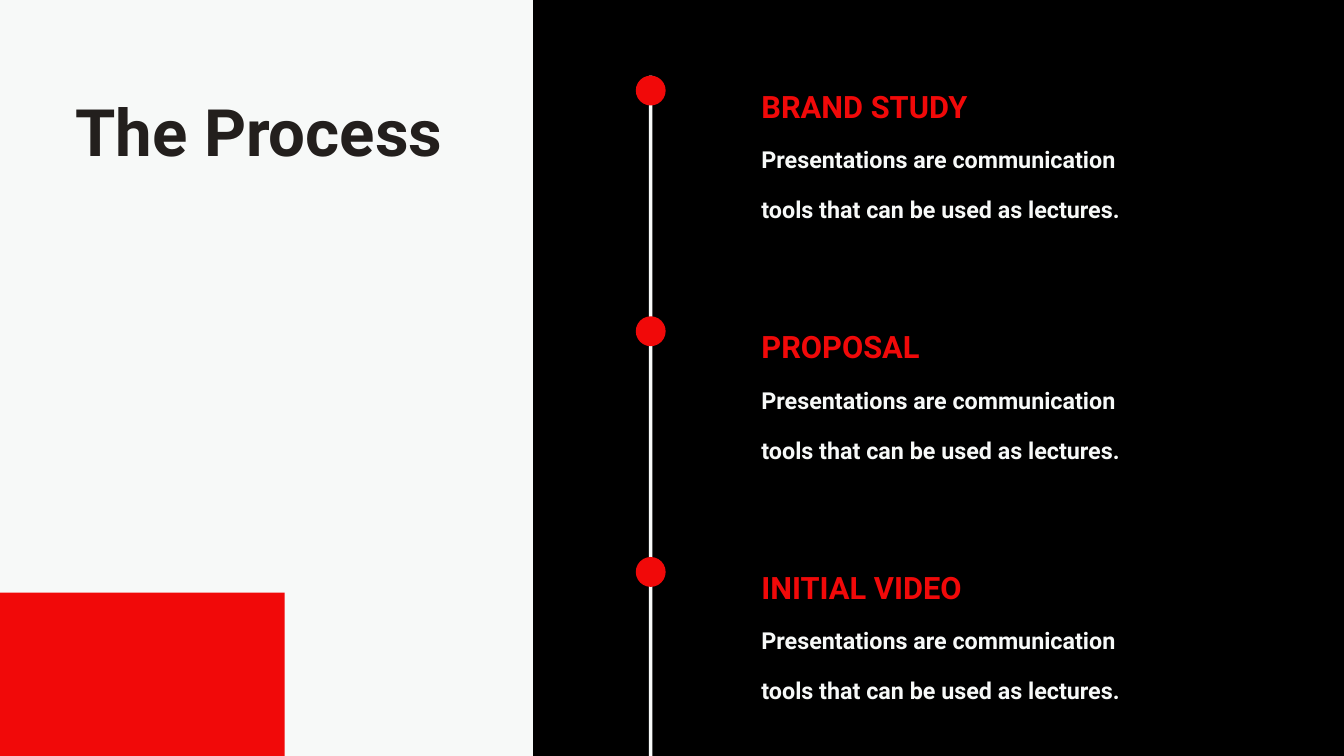
from dataclasses import dataclass

from pptx import Presentation
from pptx import util as u
from pptx.dml.color import RGBColor
from pptx.enum import shapes, text


@dataclass(frozen=True)
class Theme:
    black: str = "000000"
    paper: str = "F7F9F8"
    ink: str = "231F1D"
    red: str = "F10909"
    font: str = "Roboto"
    title_size: int = 70
    heading_size: int = 33
    body_size: int = 25


THEME = Theme()
DESCRIPTION = ["Presentations are communication",
               "tools that can be used as lectures."]
STEPS = [("BRAND STUDY", DESCRIPTION),
         ("PROPOSAL", DESCRIPTION),
         ("INITIAL VIDEO", DESCRIPTION)]
STEP_PITCH = 257.9
FIRST_HEADING_TOP = 77.8
FIRST_DOT_TOP = 81
BODY_OFFSET = 54
STEP_LEFT, STEP_WIDTH = 815.8, 543
DOT_LEFT, DOT_SIZE = 681.2, 32


def add_solid(slide, kind, left, top, width, height, color):
    solid = slide.shapes.add_shape(kind, u.Pt(left), u.Pt(top), u.Pt(width), u.Pt(height))
    solid.shadow.inherit = False
    solid.fill.solid()
    solid.fill.fore_color.rgb = RGBColor.from_string(color)
    solid.line.fill.background()


def add_copy(parent, lines, left, top, width, height, size, color, spacing):
    """Add a bold text box without margins, one paragraph per line."""
    box = parent.shapes.add_textbox(u.Pt(left), u.Pt(top), u.Pt(width), u.Pt(height))
    frame = box.text_frame
    frame_format = {"word_wrap": True, "auto_size": text.MSO_AUTO_SIZE.SHAPE_TO_FIT_TEXT,
                    "margin_left": 0, "margin_top": 0, "margin_right": 0, "margin_bottom": 0}
    for name, value in frame_format.items():
        setattr(frame, name, value)
    frame.text = "\n".join(lines)
    font_format = {"name": THEME.font, "size": u.Pt(size), "bold": True}
    for paragraph in frame.paragraphs:
        paragraph.line_spacing = spacing
        run_font = paragraph.runs[0].font
        for name, value in font_format.items():
            setattr(run_font, name, value)
        run_font.color.rgb = RGBColor.from_string(color)


def add_step(slide, heading, description, top):
    step = slide.shapes.add_group_shape()
    add_copy(step, [heading], STEP_LEFT, top, STEP_WIDTH, 42.5,
             THEME.heading_size, THEME.red, 1.4)
    add_copy(step, description, STEP_LEFT, top + BODY_OFFSET, STEP_WIDTH, 81.4,
             THEME.body_size, THEME.paper, 1.79)


def main():
    deck = Presentation()
    deck.slide_width, deck.slide_height = u.Pt(1440), u.Pt(810)
    slide = deck.slides.add_slide(deck.slide_layouts[6])
    slide.background.fill.solid()
    slide.background.fill.fore_color.rgb = RGBColor.from_string(THEME.black)

    rectangle, oval = shapes.MSO_SHAPE.RECTANGLE, shapes.MSO_SHAPE.OVAL
    add_solid(slide, rectangle, 0, -11.5, 571, 833, THEME.paper)
    add_copy(slide, ["The Process"], 81, 81, 407, 166, THEME.title_size, THEME.ink, 1.2)
    add_solid(slide, rectangle, 695.3, 81, 3.8, 759.6, THEME.paper)

    for index, (heading, description) in enumerate(STEPS):
        add_step(slide, heading, description, FIRST_HEADING_TOP + index * STEP_PITCH)
    for index in range(len(STEPS)):
        add_solid(slide, oval, DOT_LEFT, FIRST_DOT_TOP + index * STEP_PITCH,
                  DOT_SIZE, DOT_SIZE, THEME.red)

    add_solid(slide, rectangle, 0, 635, 305, 175, THEME.red)
    deck.save("out.pptx")


if __name__ == "__main__":
    main()
